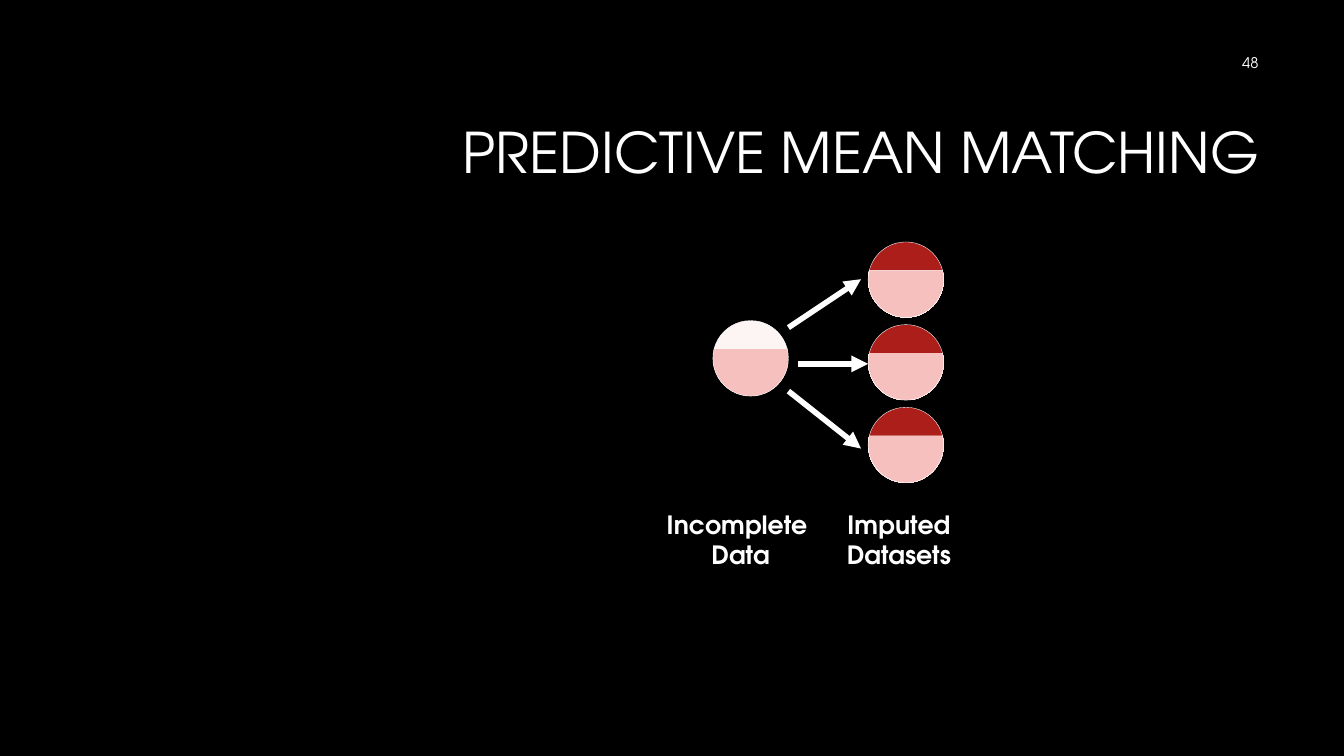
"""Predictive mean matching: one incomplete data set leads to three imputed ones."""
from lxml.etree import SubElement as Sub
from pptx import Presentation
from pptx.dml.color import RGBColor
from pptx.enum.shapes import MSO_CONNECTOR as Link, MSO_SHAPE as Shape
from pptx.enum.text import MSO_ANCHOR as Anchor, MSO_AUTO_SIZE as Auto, PP_ALIGN as Align
from pptx.oxml.ns import qn
from pptx.util import Inches, Pt

WHITE, PALE, PINK, RED = "FFFFFF", "FDF5F4", "F5C0BE", "AC1E1A"
SIZE = 0.75


def paint(format, color):
    format.solid()
    format.fore_color.rgb = RGBColor.from_string(color)


def write(frame, text, size, align, bold=False):
    frame.text = text
    frame.auto_size = Auto.NONE
    frame.vertical_anchor = Anchor.MIDDLE
    for line in frame.paragraphs:
        line.alignment = align
        for run in line.runs:
            run.font.name = "TeX Gyre Adventor"
            run.font.size = Pt(size)
            run.font.bold = bold
            paint(run.font.fill, WHITE)


deck = Presentation()
deck.slide_width, deck.slide_height = Inches(13.33), Inches(7.5)
slide = deck.slides.add_slide(deck.slide_layouts[5])
paint(slide.background.fill, "000000")
shapes = slide.shapes

title = shapes.title
title.left, title.top, title.width, title.height = map(Inches, (3.17, 0.84, 9.42, 1.41))
write(title.text_frame, "PREDICTIVE MEAN MATCHING", 40, Align.RIGHT)
title.text_frame.word_wrap = True
title.text_frame.paragraphs[0].line_spacing = 0.9

number = shapes.add_textbox(*map(Inches, (9.58, 0.42, 3, 0.4)))
write(number.text_frame, "48", 10.5, Align.RIGHT)
number.text_frame.word_wrap = True

empty = [(38, PALE), (38, PINK)]
full = [(37, RED), (38, PALE), (38, PINK)]
discs = [(7.07, 3.18, empty)] + [(8.61, 2.4 + 0.82 * row, full) for row in range(3)]
for left, top, stops in discs:
    disc = shapes.add_shape(Shape.OVAL, *map(Inches, (left, top, SIZE, SIZE)))
    disc.shadow.inherit = False
    paint(disc.line.fill, WHITE)
    disc.line.width = Pt(0.25)
    disc.fill.gradient()
    disc.fill.gradient_angle = 270
    ramp = disc._element.spPr.find(qn("a:gradFill")).find(qn("a:gsLst"))
    ramp.clear()
    for share, color in stops:
        stop = Sub(ramp, qn("a:gs"), pos=str(share * 1000))
        Sub(stop, qn("a:srgbClr"), val=color)

arrows = [(7.82, 3.25, 8.54, 2.77), (7.91, 3.61, 8.61, 3.61), (7.82, 3.88, 8.54, 4.45)]
for ends in arrows:
    arrow = shapes.add_connector(Link.STRAIGHT, *map(Inches, ends))
    paint(arrow.line.fill, WHITE)
    arrow.line.width = Pt(4)
    Sub(arrow.line._get_or_add_ln(), qn("a:tailEnd"), type="triangle")
    Sub(arrow._element.spPr, qn("a:effectLst"))

labels = [(6.49, 1.71, "Incomplete \nData"), (8.27, 1.29, "Imputed\nDatasets")]
for left, width, text in labels:
    label = shapes.add_textbox(*map(Inches, (left, 4.94, width, 0.83)))
    frame = label.text_frame
    write(frame, text, 18, Align.CENTER, True)
    frame.word_wrap = False
    frame.margin_left = frame.margin_right = Inches(0.11)
    frame.margin_top = frame.margin_bottom = Inches(0.11)

deck.save("out.pptx")
